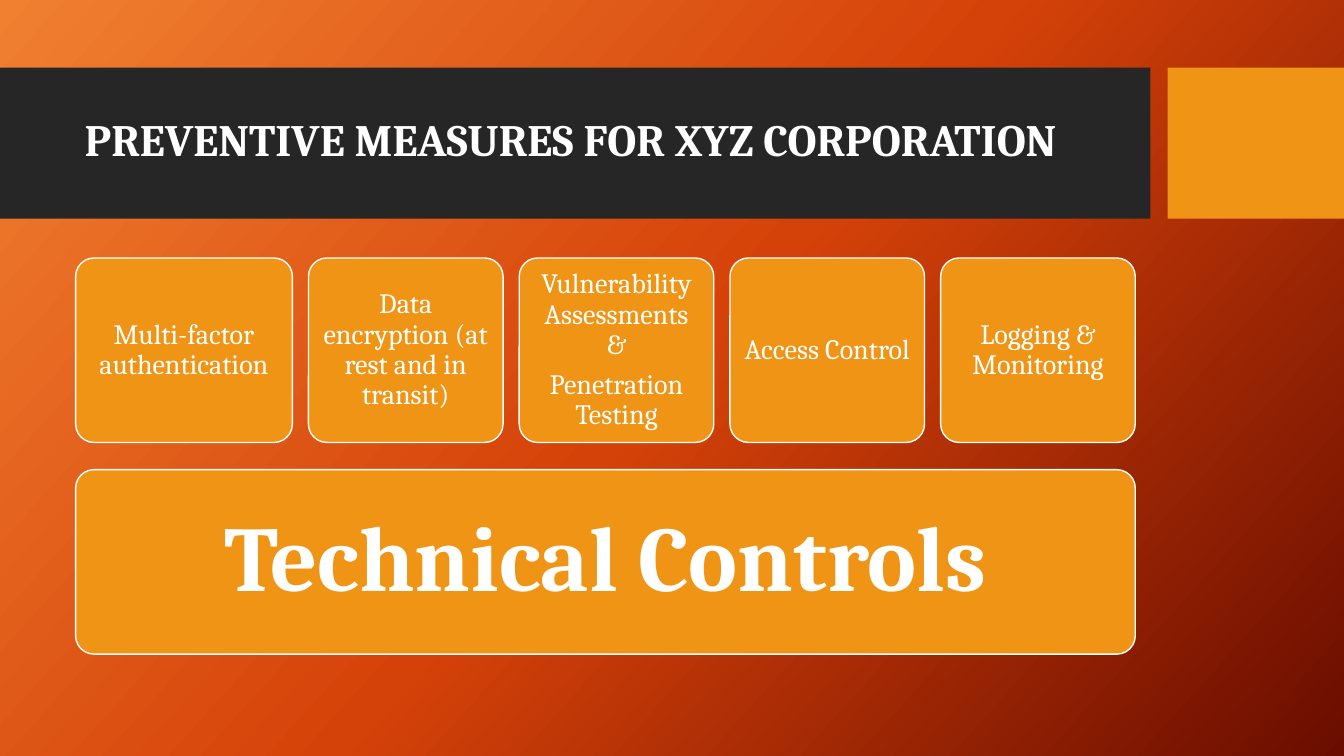
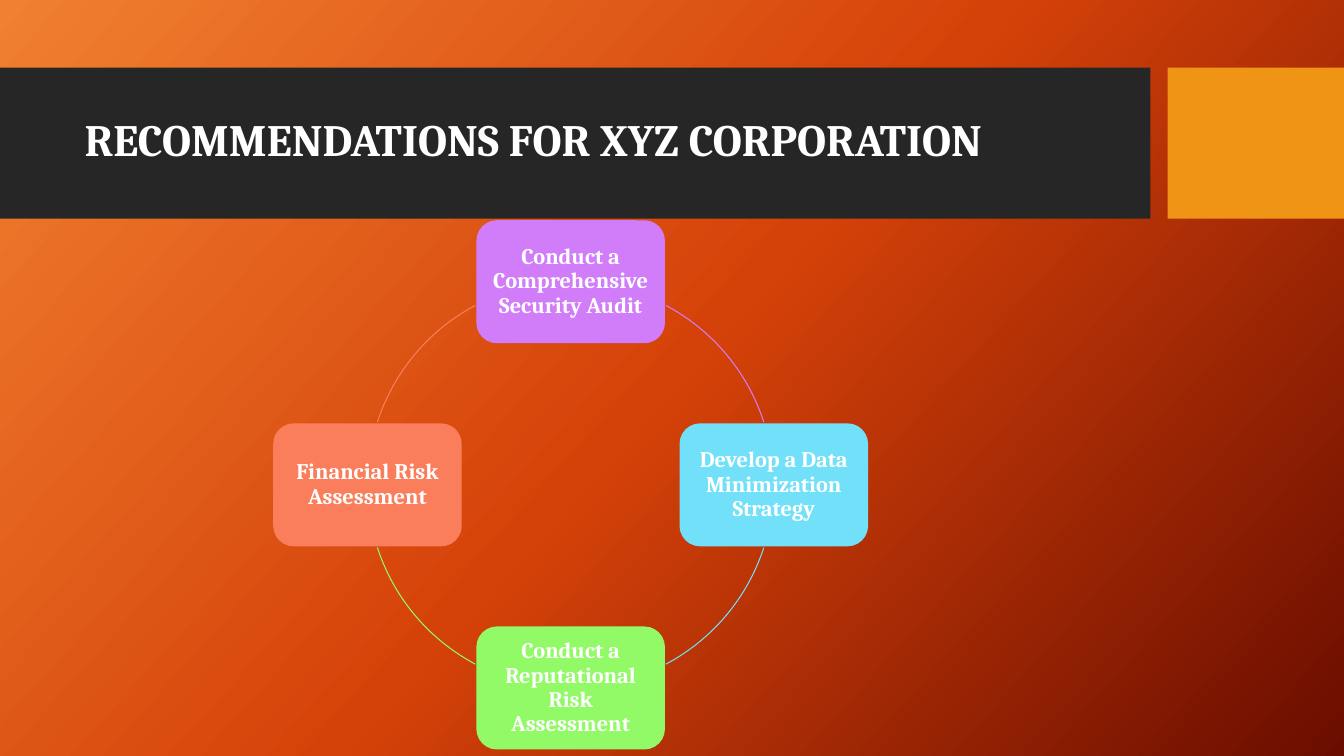
from copy import deepcopy
from math import cos, radians, sin

from pptx import Presentation
from pptx import util as u
from pptx.dml.color import RGBColor
from pptx.enum import shapes, text

COLORS = {
    "band": "262626", "accent": "F09415", "white": "FFFFFF",
    "violet": "D17DF9", "sky": "72E0F9", "lime": "93FA67", "coral": "FA7E5C",
}
BACKGROUND = [(0, "F18031"), (0.5, "D54209"), (1, "6A0D00")]
BACKGROUND_ANGLE = 42
FONT = "Cambria"
WIDTH, HEIGHT = 13.33, 7.5
BANDS = [((0, 0.67, 11.41, 1.5), "band"), ((11.58, 0.67, 1.75, 1.5), "accent")]
TITLE_BOX = (0.74, 0.82, 10.51, 1.18)

MEASURES_TITLE = "PREVENTIVE MEASURES FOR XYZ CORPORATION"
MEASURES = [
    ("Multi-factor authentication", 2.15),
    ("Data encryption (at rest and in transit)", 1.93),
    ("Vulnerability Assessments &\nPenetration Testing", 1.93),
    ("Access Control", 1.93),
    ("Logging & Monitoring", 1.93),
]
FOUNDATION = "Technical Controls"
CARD_LEFT, CARD_TOP, CARD_HEIGHT = 0.75, 2.56, 1.83
CARD_GAP, ROW_GAP = 0.16, 0.27

ADVICE_TITLE = "RECOMMENDATIONS FOR XYZ CORPORATION"
ADVICE = [
    ("Conduct a Comprehensive Security Audit", "violet", (298, 342)),
    ("Develop a Data Minimization Strategy", "sky", (18, 62)),
    ("Conduct a Reputational Risk Assessment", "lime", (118, 162)),
    ("Financial Risk Assessment", "coral", (198, 242)),
]
CENTER_X, CENTER_Y, RADIUS = 5.66, 4.81, 2.015
NODE_WIDTH, NODE_HEIGHT = 1.87, 1.22


def rgb(name):
    return RGBColor.from_string(COLORS[name])


def inches(box):
    return [u.Inches(length) for length in box]


def format_text(frame, size, bold, align):
    frame.word_wrap = True
    frame.auto_size = text.MSO_AUTO_SIZE.NONE
    frame.vertical_anchor = text.MSO_ANCHOR.MIDDLE
    for paragraph in frame.paragraphs:
        paragraph.alignment = align
        paragraph.line_spacing = 0.9
        for run in paragraph.runs:
            run.font.name = FONT
            run.font.size = u.Pt(size)
            run.font.bold = bold
            run.font.color.rgb = rgb("white")


def add_block(slide, kind, box, fill=None, line=None, line_width=1):
    block = slide.shapes.add_shape(kind, *inches(box))
    block.shadow.inherit = False
    if fill:
        block.fill.solid()
        block.fill.fore_color.rgb = rgb(fill)
    else:
        block.fill.background()
    if line:
        block.line.color.rgb = rgb(line)
        block.line.width = u.Pt(line_width)
    else:
        block.line.fill.background()
    return block


def add_card(slide, words, box, fill, size, bold, inset, line=None, corner=None):
    card = add_block(slide, shapes.MSO_SHAPE.ROUNDED_RECTANGLE, box, fill, line)
    if corner:
        card.adjustments[0] = corner
    frame = card.text_frame
    frame.text = words
    frame.margin_left = frame.margin_right = u.Inches(inset)
    frame.margin_top = frame.margin_bottom = u.Inches(inset)
    format_text(frame, size, bold, text.PP_ALIGN.CENTER)
    for paragraph in frame.paragraphs[:-1]:
        paragraph.space_after = u.Pt(0.35 * size)


def style_master(master):
    fill = master.background.fill
    fill.gradient()
    fill.gradient_angle = 360 - BACKGROUND_ANGLE
    stops = master.element.xpath(".//p:bg//a:gsLst")[0]
    stops.append(deepcopy(stops[-1]))
    for stop, (position, color) in zip(fill.gradient_stops, BACKGROUND):
        stop.position = position
        stop.color.rgb = RGBColor.from_string(color)


def move_bands_to_layout(slide):
    tree = slide.slide_layout.shapes.element
    for order, (box, fill) in enumerate(BANDS):
        band = add_block(slide, shapes.MSO_SHAPE.RECTANGLE, box, fill).element
        band.xpath(".//p:cNvPr")[0].set("id", str(20 + order))
        tree.insert(2 + order, band)


def add_titled_slide(deck, words):
    slide = deck.slides.add_slide(deck.slide_layouts[5])
    title = slide.shapes.title
    title.left, title.top, title.width, title.height = inches(TITLE_BOX)
    title.text_frame.text = words
    format_text(title.text_frame, 32, True, text.PP_ALIGN.LEFT)
    return slide


def add_measures(slide):
    total = sum(width for _, width in MEASURES) + CARD_GAP * (len(MEASURES) - 1)
    base_top = CARD_TOP + CARD_HEIGHT + ROW_GAP
    look = {"fill": "accent", "line": "white", "corner": 0.1}
    add_card(slide, FOUNDATION, (CARD_LEFT, base_top, total, CARD_HEIGHT),
             size=66, bold=True, inset=0.28, **look)
    left = CARD_LEFT
    for words, width in MEASURES:
        add_card(slide, words, (left, CARD_TOP, width, CARD_HEIGHT),
                 size=20, bold=False, inset=0.08, **look)
        left += width + CARD_GAP


def add_advice_cycle(slide):
    ring = (CENTER_X - RADIUS, CENTER_Y - RADIUS, 2 * RADIUS, 2 * RADIUS)
    for step, (words, color, span) in enumerate(ADVICE):
        angle = radians(360 * step / len(ADVICE) - 90)
        left = CENTER_X + RADIUS * cos(angle) - NODE_WIDTH / 2
        top = CENTER_Y + RADIUS * sin(angle) - NODE_HEIGHT / 2
        add_card(slide, words, (left, top, NODE_WIDTH, NODE_HEIGHT),
                 color, size=16, bold=True, inset=0.07)
        arc = add_block(slide, shapes.MSO_SHAPE.ARC, ring, line=color, line_width=0.75)
        for end, degrees in enumerate(span):
            arc.adjustments[end] = degrees * 0.6


def main():
    deck = Presentation()
    deck.slide_width, deck.slide_height = inches((WIDTH, HEIGHT))
    style_master(deck.slide_master)
    measures = add_titled_slide(deck, MEASURES_TITLE)
    move_bands_to_layout(measures)
    add_measures(measures)
    add_advice_cycle(add_titled_slide(deck, ADVICE_TITLE))
    deck.save("out.pptx")


if __name__ == "__main__":
    main()
